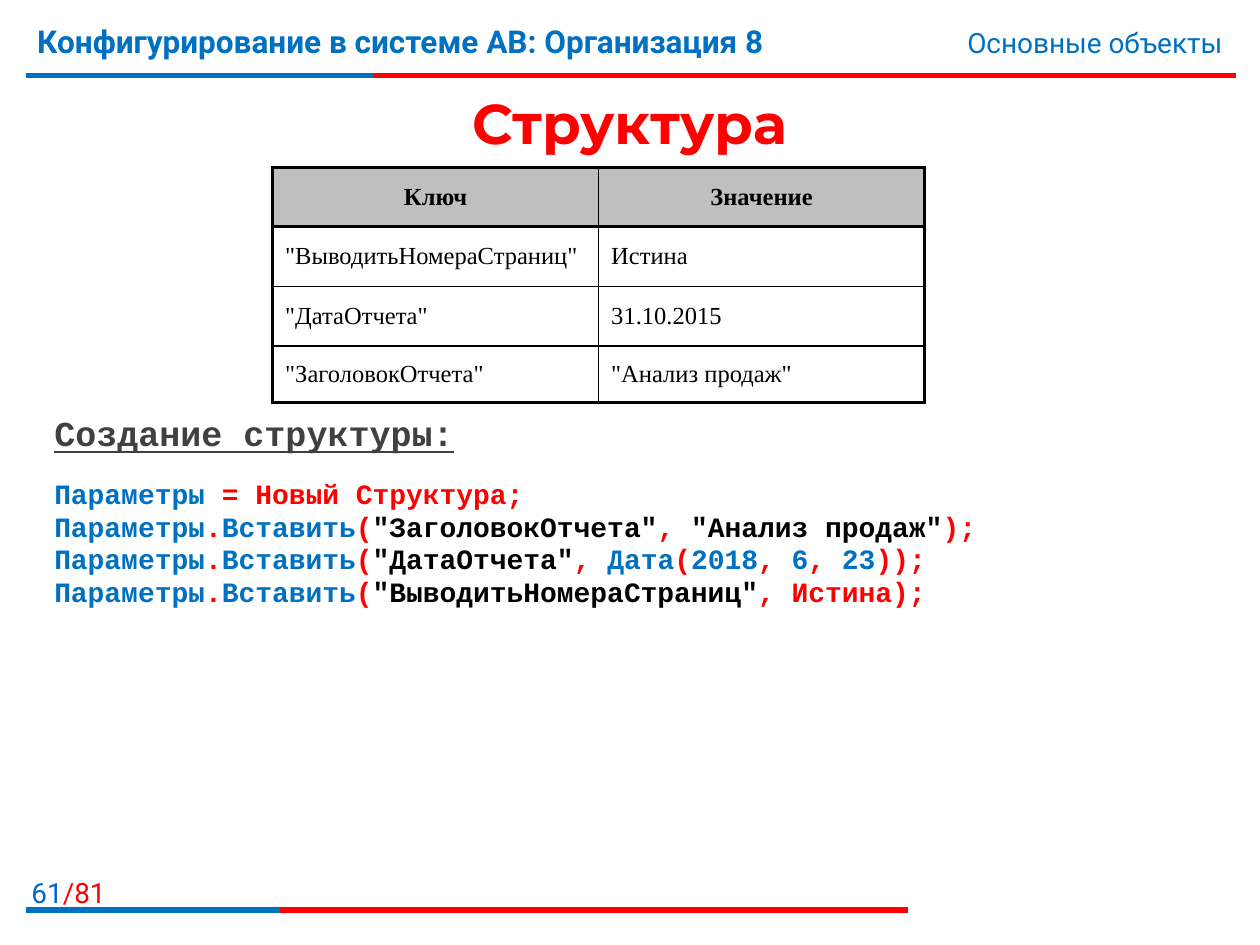
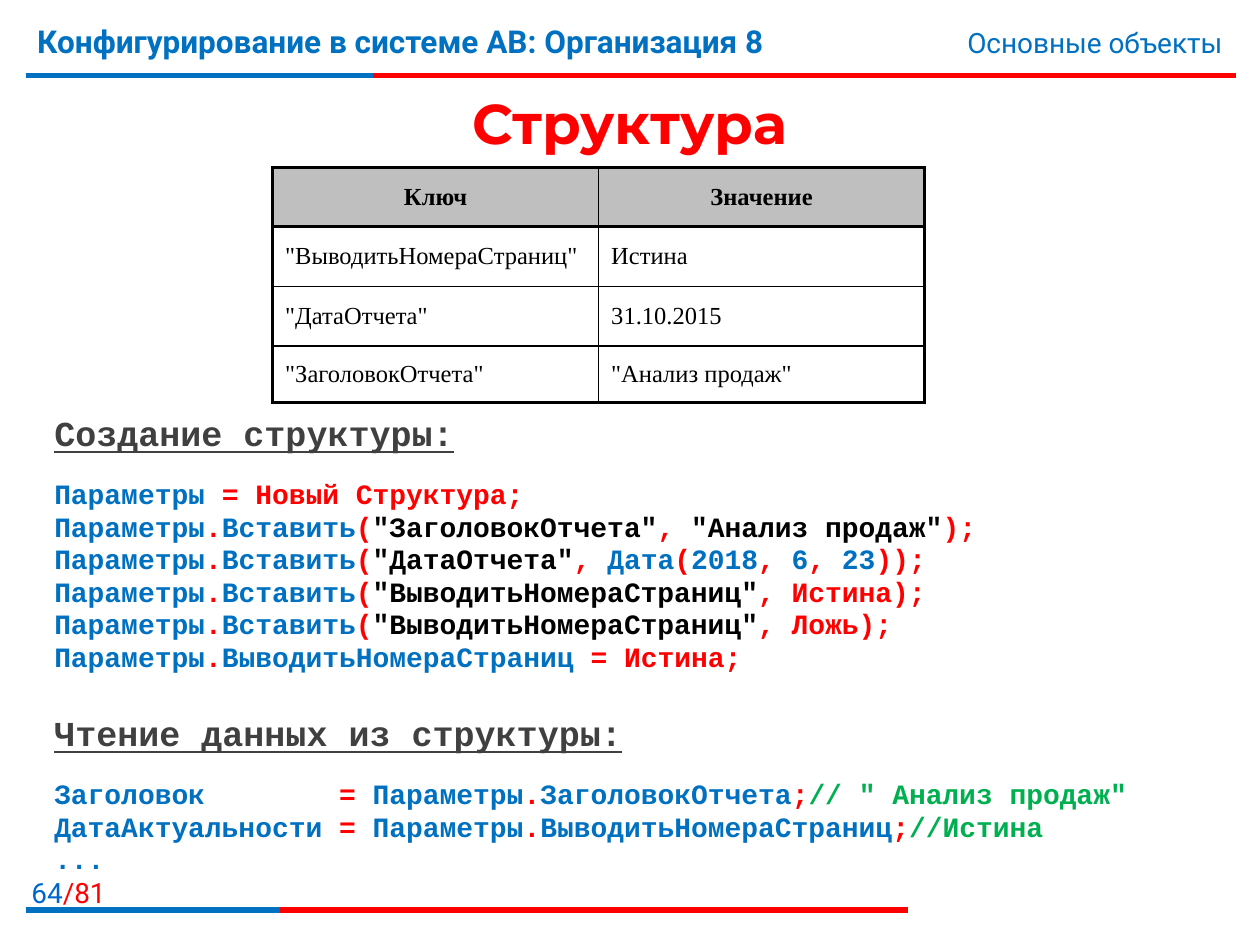
import pptx
import pptx.dml.color
import pptx.enum.shapes
import pptx.enum.text
import pptx.oxml
import pptx.oxml.ns
import pptx.util
from lxml import etree

Pt = pptx.util.Pt
ALIGN = pptx.enum.text.PP_ALIGN
MIDDLE = pptx.enum.text.MSO_ANCHOR.MIDDLE
qn = pptx.oxml.ns.qn

BLUE, RED, GREEN = "0070C0", "FF0000", "00B050"
NUMBER_BLUE, HEADING_GREY, HEADER_FILL = "0066CC", "404040", "BFBFBF"
BLACK, WHITE = "000000", "FFFFFF"
SLIDE_TOTAL = 81


def rgb(colour):
    return pptx.dml.color.RGBColor.from_string(colour)


def line_xml(tag, width, colour):
    return pptx.oxml.parse_xml(
        f'<a:{tag} {pptx.oxml.ns.nsdecls("a")} w="{Pt(width)}"><a:solidFill>'
        f'<a:srgbClr val="{colour}"/></a:solidFill></a:{tag}>')


class Deck:
    def __init__(self):
        self.prs = pptx.Presentation()
        self.prs.slide_width, self.prs.slide_height = Pt(720), Pt(540)
        self.s = None

    def run(self, p, text, size, font, colour, bold=False, underline=False):
        r = p.add_run()
        r.text = text
        r.font.size, r.font.name = Pt(size), font
        r.font.bold, r.font.underline = bold, underline
        r.font.color.rgb = rgb(colour)
        return r

    def place(self, sp, left, top, width, height):
        sp.left, sp.top, sp.width, sp.height = map(Pt, (left, top, width, height))

    def line(self, x1, x2, y, colour):
        c = self.s.shapes.add_connector(
            pptx.enum.shapes.MSO_CONNECTOR.STRAIGHT, Pt(x1), Pt(y), Pt(x2), Pt(y))
        c.line.width = Pt(3)
        c.line.color.rgb = rgb(colour)
        etree.SubElement(c._element.spPr, qn("a:effectLst"))

    def rule(self, y, blue_end, red_end):
        """Red line with a blue first part."""
        self.line(14.6, red_end, y, RED)
        self.line(14.6, blue_end, y, BLUE)

    def text(self, box, runs, size, align=ALIGN.LEFT, bold=False, before=0):
        tf = self.s.shapes.add_textbox(*map(Pt, box)).text_frame
        tf.word_wrap = True
        p = tf.paragraphs[0]
        p.alignment, p.space_before = align, Pt(before)
        for colour, text in runs:
            self.run(p, text, size, "Roboto", colour, bold)

    def new_slide(self, number, title):
        self.s = self.prs.slides.add_slide(self.prs.slide_layouts[1])
        self.rule(43.2, 213.1, 706.3)
        self.rule(520, 159.8, 518.6)
        self.text((-7.4, 496.8, 74.9, 23),
                  [(NUMBER_BLUE, str(number)), (RED, f"/{SLIDE_TOTAL}")],
                  16, ALIGN.RIGHT)
        self.text((14.2, 9, 532.8, 44.6),
                  [(BLUE, "Конфигурирование в системе АВ: Организация 8")],
                  18, bold=True, before=4.3)
        self.text((427.7, 10.8, 277.9, 26.6), [(BLUE, "Основные объекты")],
                  16, ALIGN.RIGHT)
        self.title(title)

    def title(self, title):
        sp = self.s.shapes.title
        self.place(sp, 14, 43.2, 691.9, 52.6)
        tf = sp.text_frame
        tf.auto_size = pptx.enum.text.MSO_AUTO_SIZE.NONE
        tf.vertical_anchor = MIDDLE
        p = tf.paragraphs[0]
        p.alignment = ALIGN.CENTER
        r = self.run(p, title, 32, "Montserrat", RED, bold=True)
        r.font._element.insert(0, line_xml("ln", 0.75, WHITE))

    def table(self, rows, left, top, col_width, heights):
        n_rows, n_cols = len(rows), len(rows[0])
        table = self.s.shapes.add_table(
            n_rows, n_cols, Pt(left), Pt(top),
            Pt(col_width * n_cols), Pt(sum(heights))).table
        table.first_row = table.horz_banding = False
        for col in table.columns:
            col.width = Pt(col_width)
        for i, row in enumerate(rows):
            table.rows[i].height = Pt(heights[i])
            header = i == 0
            for j, value in enumerate(row):
                cell = table.cell(i, j)
                cell.vertical_anchor = MIDDLE
                cell.fill.solid()
                cell.fill.fore_color.rgb = rgb(HEADER_FILL if header else WHITE)
                p = cell.text_frame.paragraphs[0]
                p.alignment = ALIGN.CENTER if header else ALIGN.LEFT
                self.run(p, value, 14, "Times New Roman", BLACK, bold=header)
                thick = {"lnL": j == 0, "lnR": j == n_cols - 1,
                         "lnT": i <= 1, "lnB": i in (0, n_rows - 1)}
                tc_pr = cell._tc.get_or_add_tcPr()
                for k, (side, is_thick) in enumerate(thick.items()):
                    tc_pr.insert(k, line_xml(side, 2 if is_thick else 1, BLACK))

    def code(self, sections, height):
        """Fill the body with (heading, code lines) sections."""
        sp = self.s.placeholders[1]
        self.place(sp, 23.8, 236.2, 671.8, height)
        tf = sp.text_frame
        tf.auto_size = pptx.enum.text.MSO_AUTO_SIZE.NONE
        for n, (heading, lines) in enumerate(sections):
            p = tf.add_paragraph() if n else tf.paragraphs[0]
            self.code_paragraph(p, [(HEADING_GREY, heading)], 20,
                                27 if n else 5, underline=True)
            for i, runs in enumerate(lines):
                self.code_paragraph(tf.add_paragraph(), runs, 16, 3.2 if i else 17)

    def code_paragraph(self, p, runs, size, before, underline=False):
        p.line_spacing, p.space_before = 0.8, Pt(before)
        p_pr = p._p.get_or_add_pPr()
        p_pr.set("marL", "0")
        p_pr.set("indent", "0")
        etree.SubElement(p_pr, qn("a:buNone"))
        for colour, text in runs:
            self.run(p, text, size, "Courier New", colour, True, underline)


def insert_call(key, *rest):
    return [(BLUE, "Параметры"), (RED, "."), (BLUE, "Вставить"), (RED, "("),
            (BLACK, f'"{key}"'), *rest]


def read_line(variable, key, comment):
    """Assignment whose equals sign lines up in the monospaced code."""
    return [(BLUE, variable.ljust(17)), (RED, "= "), (BLUE, "Параметры"), (RED, "."),
            (BLUE, key), (RED, ";"), (GREEN, comment)]


PAGES, DATE, HEADING = "ВыводитьНомераСтраниц", "ДатаОтчета", "ЗаголовокОтчета"

KEY_VALUES = [
    ("Ключ", "Значение"),
    (f'"{PAGES}"', "Истина"),
    (f'"{DATE}"', "31.10.2015"),
    (f'"{HEADING}"', '"Анализ продаж"'),
]
CREATION = [
    [(BLUE, "Параметры "), (RED, "= Новый Структура;")],
    insert_call(HEADING, (RED, ", "), (BLACK, '"Анализ продаж"'), (RED, ");")),
    insert_call(DATE, (RED, ","), (BLUE, " Дата"), (RED, "("), (BLUE, "2018"),
                (RED, ","), (BLUE, " 6"), (RED, ","), (BLUE, " 23"), (RED, "));")),
    insert_call(PAGES, (RED, ", Истина);")),
]
CHANGES = [
    insert_call(PAGES, (RED, ", Ложь);")),
    [(BLUE, "Параметры"), (RED, "."), (BLUE, PAGES + " "), (RED, "= Истина;")],
]
READING = [
    read_line("Заголовок", HEADING, '// " Анализ продаж"'),
    read_line("ДатаАктуальности", PAGES, "//Истина"),
    [(BLUE, "...")],
]
CREATION_HEADING = "Создание структуры:"


def main():
    deck = Deck()
    slides = [
        (61, 252, [(CREATION_HEADING, CREATION)]),
        (64, 277.9, [(CREATION_HEADING, CREATION + CHANGES),
                     ("Чтение данных из структуры:", READING)]),
    ]
    for number, height, sections in slides:
        deck.new_slide(number, "Структура")
        deck.table(KEY_VALUES, 155.8, 95.6, 186.3, [34, 34, 34, 32.5])
        deck.code(sections, height)
    deck.prs.save("out.pptx")


if __name__ == "__main__":
    main()
